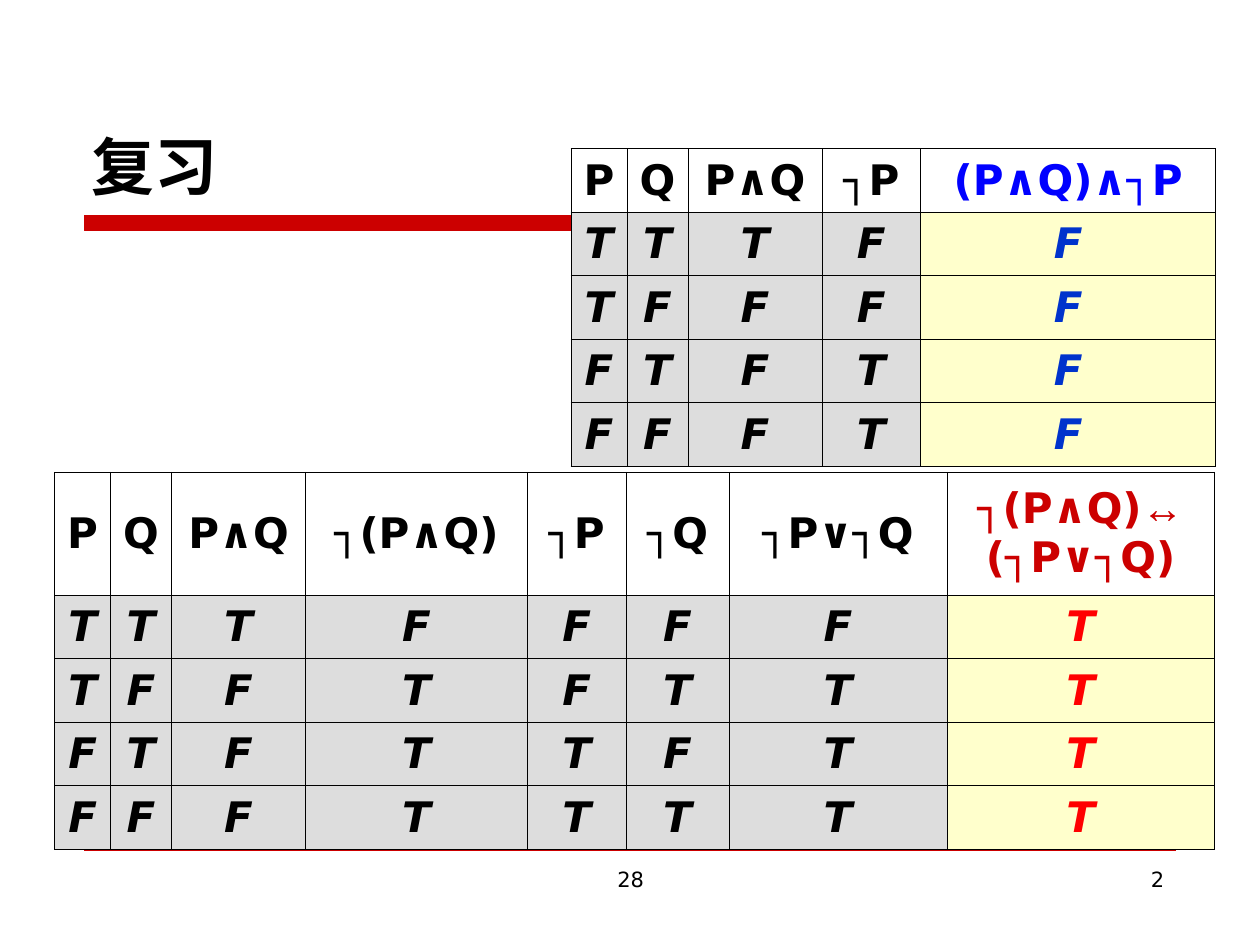
"""Build a review slide with two propositional truth tables."""
from lxml.etree import SubElement
from pptx import Presentation
from pptx.dml.color import RGBColor
from pptx.enum.shapes import MSO_CONNECTOR
from pptx.enum.text import MSO_ANCHOR, PP_ALIGN
from pptx.oxml.ns import qn
from pptx.util import Cm, Pt

BLACK = RGBColor(0x00, 0x00, 0x00)
RED = RGBColor(0xCC, 0x00, 0x00)
BRIGHT_RED = RGBColor(0xFF, 0x00, 0x00)
BLUE = RGBColor(0x00, 0x00, 0xFF)
DARK_BLUE = RGBColor(0x00, 0x33, 0xCC)
GREY = RGBColor(0xDD, 0xDD, 0xDD)
CREAM = RGBColor(0xFF, 0xFF, 0xCC)
FONT, ARROW_FONT = "DejaVu Sans", "Arial"

TEXTS = [
    ("28", (8.69, 17.35, 8.05, 1.32), PP_ALIGN.CENTER, MSO_ANCHOR.TOP, {"size": Pt(12)}),
    ("2", (18.21, 17.35, 5.51, 1.32), PP_ALIGN.RIGHT, MSO_ANCHOR.TOP, {"size": Pt(12)}),
    ("复习", (1.6, 0.84, 22.22, 3.38), PP_ALIGN.LEFT, MSO_ANCHOR.BOTTOM,
     {"size": Pt(36), "bold": True}),
]
WIDTHS = {"P": 1.13, "Q": 1.23, "P∧Q": 2.7, "┐P": 1.99, "┐Q": 2.08,
          "┐(P∧Q)": 4.47, "┐P∨┐Q": 4.39}
ROW_HEIGHT = 1.28
TABLES = [
    {"at": (11.51, 3), "header_height": ROW_HEIGHT,
     "columns": ["P", "Q", "P∧Q", "┐P"],
     "result": [("(P∧Q)∧┐P", FONT)], "result_width": 5.95,
     "values": ["TTTFF", "TFFFF", "FTFTF", "FFFTF"],
     "header_color": BLUE, "result_color": DARK_BLUE},
    {"at": (1.1, 9.52), "header_height": 2.48,
     "columns": ["P", "Q", "P∧Q", "┐(P∧Q)", "┐P", "┐Q", "┐P∨┐Q"],
     "result": [("┐(P∧Q)", FONT), ("↔", ARROW_FONT), (" (┐P∨┐Q)", FONT)],
     "result_width": 5.39,
     "values": ["TTTFFFFT", "TFFTFTTT", "FTFTTFTT", "FFFTTTTT"],
     "header_color": RED, "result_color": BRIGHT_RED},
]


def add_run(p, text, color=BLACK, font=FONT, **formats):
    r = p.add_run()
    r.text = text
    for name, value in {"name": font, **formats}.items():
        setattr(r.font, name, value)
    r.font.color.rgb = color
    SubElement(r.font._element, qn("a:ea"), typeface=font)


def add_text(s, text, box, align, anchor, formats):
    tf = s.shapes.add_textbox(*map(Cm, box)).text_frame
    tf.word_wrap = True
    tf.vertical_anchor = anchor
    p = tf.paragraphs[0]
    p.alignment = align
    add_run(p, text, **formats)


def add_rules(s):
    builder = s.shapes.build_freeform(Cm(1.7), Cm(4.34))
    bar = [(14.63, 4.34), (14.63, 4.65), (1.7, 4.65)]
    builder.add_line_segments([(Cm(x), Cm(y)) for x, y in bar], close=True)
    builder.move_to(Cm(1.7), Cm(4.34))
    builder.add_line_segments([(Cm(23.8), Cm(4.34))], close=False)
    sp = builder.convert_to_shape()
    sp.shadow.inherit = False
    sp.fill.solid()
    sp.fill.fore_color.rgb = RED
    footer = s.shapes.add_connector(
        MSO_CONNECTOR.STRAIGHT, Cm(1.7), Cm(17.14), Cm(23.7), Cm(17.14))
    for shape, width in [(sp, 0.75), (footer, 0.25)]:
        shape.line.color.rgb = RED
        shape.line.width = Pt(width)
    SubElement(footer._element.spPr, qn("a:effectLst"))


def fill_cell(cell, parts, color, fill, italic):
    cell.vertical_anchor = MSO_ANCHOR.MIDDLE
    tcPr = cell._tc.get_or_add_tcPr()
    for side in ("lnL", "lnR", "lnT", "lnB"):
        ln = SubElement(tcPr, qn(f"a:{side}"), w=str(Pt(0.45)))
        SubElement(SubElement(ln, qn("a:solidFill")), qn("a:srgbClr"), val=str(BLACK))
    if fill is None:
        cell.fill.background()
    else:
        cell.fill.solid()
        cell.fill.fore_color.rgb = fill
    p = cell.text_frame.paragraphs[0]
    p.alignment = PP_ALIGN.CENTER
    for text, font in parts:
        add_run(p, text, color, font, size=Pt(24), bold=True, italic=italic)


def add_truth_table(s, data):
    widths = [WIDTHS[name] for name in data["columns"]] + [data["result_width"]]
    heights = [data["header_height"]] + [ROW_HEIGHT] * len(data["values"])
    box = (*data["at"], sum(widths), sum(heights))
    table = s.shapes.add_table(len(heights), len(widths), *map(Cm, box)).table
    table.first_row = table.horz_banding = False
    for column, width in zip(table.columns, widths):
        column.width = Cm(width)
    for row, height in zip(table.rows, heights):
        row.height = Cm(height)
    header = [[(name, FONT)] for name in data["columns"]] + [data["result"]]
    body = [[[(value, FONT)] for value in row] for row in data["values"]]
    for i, row in enumerate([header] + body):
        for j, parts in enumerate(row):
            is_result = j == len(widths) - 1
            if i == 0:
                color, fill = data["header_color"], None
            else:
                color, fill = data["result_color"], CREAM if is_result else GREY
            fill_cell(table.cell(i, j), parts, color if is_result else BLACK, fill, i > 0)


def main():
    prs = Presentation()
    prs.slide_width, prs.slide_height = Cm(25.4), Cm(19.05)
    s = prs.slides.add_slide(prs.slide_layouts[6])
    add_rules(s)
    for item in TEXTS:
        add_text(s, *item)
    for data in TABLES:
        add_truth_table(s, data)
    prs.save("out.pptx")


if __name__ == "__main__":
    main()
